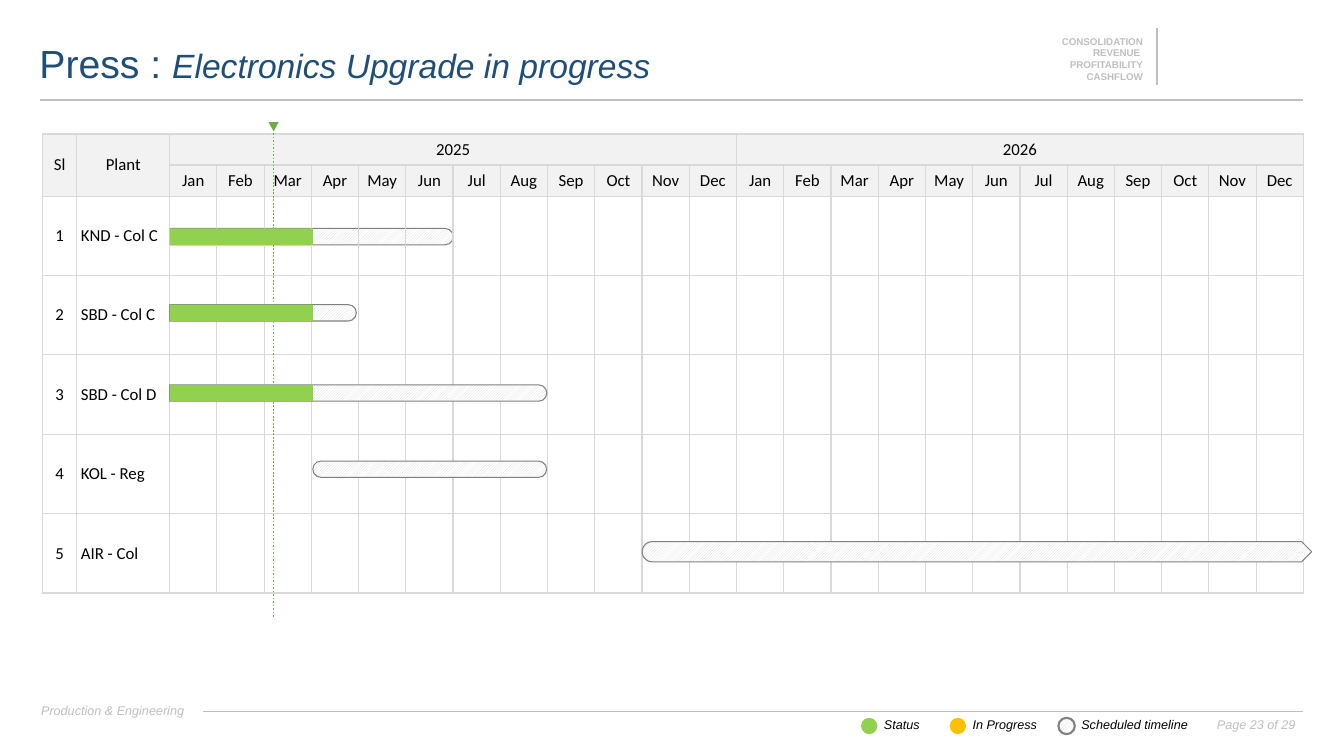
from math import cos, pi, sin

from lxml.etree import SubElement
from pptx import Presentation
from pptx.dml.color import RGBColor
from pptx.enum.dml import MSO_LINE, MSO_PATTERN
from pptx.enum.shapes import MSO_CONNECTOR, MSO_SHAPE as Preset
from pptx.enum.text import MSO_ANCHOR as Anchor, PP_ALIGN as Align
from pptx.oxml import parse_xml
from pptx.oxml.ns import nsdecls, qn
from pptx.util import Inches, Pt

GREY, SILVER, HATCH, OUTLINE = "BFBFBF", "D9D9D9", "hatch", "808080"
GREEN, AMBER, MARKER = "92D050", "FFC000", "70AD47"
NAVY, BLACK, WHITE, HEADER = "1F4E79", "000000", "FFFFFF", "F2F2F2"

MONTHS = ["Jan", "Feb", "Mar", "Apr", "May", "Jun",
          "Jul", "Aug", "Sep", "Oct", "Nov", "Dec"]
YEARS = ["2025", "2026"]
PLANTS = ["KND - Col C", "SBD - Col C", "SBD - Col D", "KOL - Reg", "AIR - Col"]

TABLE_LEFT, TABLE_TOP = 1.01, 3.19
NUMBER_WIDTH, PLANT_WIDTH, MONTH_WIDTH = 0.82, 2.21, 27 / 24
HEADER_HEIGHT, PLANT_HEIGHT = 0.74, 1.89
CHART_LEFT = TABLE_LEFT + NUMBER_WIDTH + PLANT_WIDTH
CHART_TOP = TABLE_TOP + 2 * HEADER_HEIGHT
BAR_HEIGHT = 0.39
DONE, TODAY = 3.03, 2.2


def color(value):
    return RGBColor.from_string(value)


def month_x(month):
    return CHART_LEFT + month * MONTH_WIDTH


def plant_y(position):
    return CHART_TOP + position * PLANT_HEIGHT


class GridSlide:
    columns, rows = 32, 18

    def __init__(self, presentation):
        self.slide = presentation.slides.add_slide(presentation.slide_layouts[6])
        self.shapes = self.slide.shapes
        self.column = presentation.slide_width / self.columns
        self.row = presentation.slide_height / self.rows

    def x(self, columns):
        return round(columns * self.column)

    def y(self, rows):
        return round(rows * self.row)

    def box(self, left, top, width, height):
        return self.x(left), self.y(top), self.x(width), self.y(height)

    def paint(self, shape, fill, line=None, weight=0.75):
        shape.shadow.inherit = False
        if fill == HATCH:
            shape.fill.patterned()
            shape.fill.pattern = MSO_PATTERN.LIGHT_UPWARD_DIAGONAL
            shape.fill.fore_color.rgb = color(SILVER)
            shape.fill.back_color.rgb = color(WHITE)
        else:
            shape.fill.solid()
            shape.fill.fore_color.rgb = color(fill)
        if line:
            shape.line.color.rgb = color(line)
            shape.line.width = Pt(weight)
        else:
            shape.line.fill.background()

    def add_runs(self, paragraph, runs, align, font="Arial"):
        paragraph.alignment = align
        for text, size, ink, bold, italic in runs:
            run = paragraph.add_run()
            run.text = text
            run.font.name, run.font.size = font, Pt(size)
            run.font.bold, run.font.italic = bold, italic
            run.font.color.rgb = color(ink)

    def text(self, box, lines, align=Align.LEFT, anchor=Anchor.MIDDLE,
             insets=(0, 0.04, 0.04, 0.04), fill=None, spacing=None):
        shape = self.shapes.add_textbox(*self.box(*box))
        if fill:
            self.paint(shape, fill)
        frame = shape.text_frame
        frame.word_wrap, frame.vertical_anchor = True, anchor
        (frame.margin_left, frame.margin_top,
         frame.margin_right, frame.margin_bottom) = map(Inches, insets)
        for index, runs in enumerate(lines):
            paragraph = frame.add_paragraph() if index else frame.paragraphs[0]
            paragraph.line_spacing = spacing
            self.add_runs(paragraph, runs, align)

    def line(self, start, end, ink, weight, dash=None):
        connector = self.shapes.add_connector(
            MSO_CONNECTOR.STRAIGHT, self.x(start[0]), self.y(start[1]),
            self.x(end[0]), self.y(end[1]))
        connector.line.color.rgb = color(ink)
        connector.line.width = Pt(weight)
        if dash:
            connector.line.dash_style = dash
        SubElement(connector._element.spPr, qn("a:effectLst"))

    def shape(self, preset, box, fill, line=None, weight=0.75,
              rotation=0, adjustments=()):
        shape = self.shapes.add_shape(preset, *self.box(*box))
        for index, value in enumerate(adjustments):
            shape.adjustments[index] = value
        shape.rotation = rotation
        self.paint(shape, fill, line, weight)

    def bar(self, start, end, position, fill, line=None, rounding=0):
        length = (end - start) * MONTH_WIDTH
        center_x, center_y = month_x((start + end) / 2), plant_y(position)
        self.shape(Preset.ROUND_2_SAME_RECTANGLE,
                   (center_x - BAR_HEIGHT / 2, center_y - length / 2, BAR_HEIGHT, length),
                   fill, line, rotation=90, adjustments=(rounding, 0))

    def open_bar(self, start, end, position, height):
        left, right, middle = month_x(start), month_x(end), plant_y(position)
        radius = height / 2
        points = [(right - radius, middle - radius), (right, middle),
                  (right - radius, middle + radius)]
        points += [(left + radius + radius * cos(angle), middle + radius * sin(angle))
                   for angle in (pi / 2 + pi * step / 16 for step in range(17))]
        points = [(self.x(column), self.y(row)) for column, row in points]
        builder = self.shapes.build_freeform(*points[0])
        builder.add_line_segments(points[1:], close=True)
        self.paint(builder.convert_to_shape(), HATCH, OUTLINE)

    def cell(self, cell, text="", fill=None, align=Align.CENTER, inset=0.04):
        cell.vertical_anchor = Anchor.MIDDLE
        cell.margin_left = cell.margin_right = Inches(0.04)
        cell.margin_top = cell.margin_bottom = Inches(inset)
        if fill:
            cell.fill.solid()
            cell.fill.fore_color.rgb = color(fill)
        else:
            cell.fill.background()
        if text:
            self.add_runs(cell.text_frame.paragraphs[0],
                          [(text, 12, BLACK, False, False)], align, "Calibri")
        for index, side in enumerate(("lnL", "lnR", "lnT", "lnB")):
            cell._tc.get_or_add_tcPr().insert(index, parse_xml(
                f'<a:{side} {nsdecls("a")} w="{Pt(1)}"><a:solidFill>'
                f'<a:srgbClr val="{SILVER}"/></a:solidFill></a:{side}>'))

    def schedule(self):
        widths = [NUMBER_WIDTH, PLANT_WIDTH] + [MONTH_WIDTH] * len(MONTHS * 2)
        heights = [HEADER_HEIGHT] * 2 + [PLANT_HEIGHT] * len(PLANTS)
        table = self.shapes.add_table(
            len(heights), len(widths),
            *self.box(TABLE_LEFT, TABLE_TOP, sum(widths), sum(heights))).table
        table.first_row = table.horz_banding = False
        for column, width in zip(table.columns, widths):
            column.width = self.x(width)
        for row, height in zip(table.rows, heights):
            row.height = self.y(height)
        years = [text for year in YEARS for text in [year] + [""] * 11]
        content = [["Sl", "Plant"] + years, ["", ""] + MONTHS * 2]
        content += [[str(number), plant] + [""] * 24
                    for number, plant in enumerate(PLANTS, 1)]
        for row, texts in enumerate(content):
            for column, text in enumerate(texts):
                heading = row < 2
                self.cell(table.cell(row, column), text, HEADER if heading else None,
                          Align.LEFT if column == 1 and not heading else Align.CENTER,
                          0.04 if heading else 0)
        for column in (0, 1):
            table.cell(0, column).merge(table.cell(1, column))
        for column in (2, 14):
            table.cell(0, column).merge(table.cell(0, column + 11))


def main():
    presentation = Presentation()
    presentation.slide_width, presentation.slide_height = Inches(13.33), Inches(7.5)
    page = GridSlide(presentation)

    page.text((28.3, 16.97, 2.64, 0.55), [[("Page 23 of 29", 9, GREY, False, True)]],
              Align.RIGHT)
    page.line((27.55, 0.67), (27.55, 2.02), GREY, 1)
    goals = ["CONSOLIDATION", "REVENUE ", "PROFITABILITY", "CASHFLOW"]
    page.text((24.26, 0.79, 2.95, 1.18), [[(goal, 7, GREY, True, False)] for goal in goals],
              Align.RIGHT, Anchor.TOP, (0, 0.02, 0, 0))
    page.line((1.01, 16.94), (31.03, 16.94), GREY, 0.25)
    page.text((0.98, 16.63, 3.86, 0.58),
              [[("Production & Engineering", 9, GREY, False, True)]], fill=WHITE)
    page.line((0.96, 2.38), (31.03, 2.38), GREY, 2)
    page.text((0.94, 1.01, 25.49, 1.13),
              [[("Press : ", 28, NAVY, False, False),
                ("Electronics Upgrade in progress", 24, NAVY, False, True)]], spacing=0.9)

    page.bar(0, 6, 0.51, HATCH, OUTLINE, 0.5)
    page.schedule()

    legend = [("Status", 20.5, 1.54, GREEN, None),
              ("In Progress", 22.61, 2.5, AMBER, None),
              ("Scheduled timeline", 25.2, 3.2, HATCH, OUTLINE)]
    for label, left, width, fill, line in legend:
        page.shape(Preset.OVAL, (left, 17.09, 0.39, 0.39), fill, line, 1.5)
        page.text((left + 0.31, 16.96, width, 0.6), [[(label, 9, BLACK, False, True)]],
                  insets=(0.1, 0.05, 0.1, 0.05))

    today = month_x(TODAY)
    page.line((today, 3.17), (today, 14.69), MARKER, 1.25, MSO_LINE.ROUND_DOT)
    page.shape(Preset.ISOSCELES_TRIANGLE, (today - 0.12, 2.91, 0.24, 0.22), MARKER,
               rotation=180)

    page.shape(Preset.ROUNDED_RECTANGLE,
               (month_x(DONE), plant_y(3.44) - BAR_HEIGHT / 2, 4.95 * MONTH_WIDTH, BAR_HEIGHT),
               HATCH, OUTLINE, adjustments=(0.5,))
    page.bar(0, DONE, 0.51, GREEN)
    for end, position in ((3.95, 1.47), (7.98, 2.48)):
        page.bar(0, end, position, HATCH, OUTLINE, 0.5)
        page.bar(0, DONE, position, GREEN)
    page.open_bar(10, 24.17, 4.48, 0.48)

    presentation.save("out.pptx")


if __name__ == "__main__":
    main()
